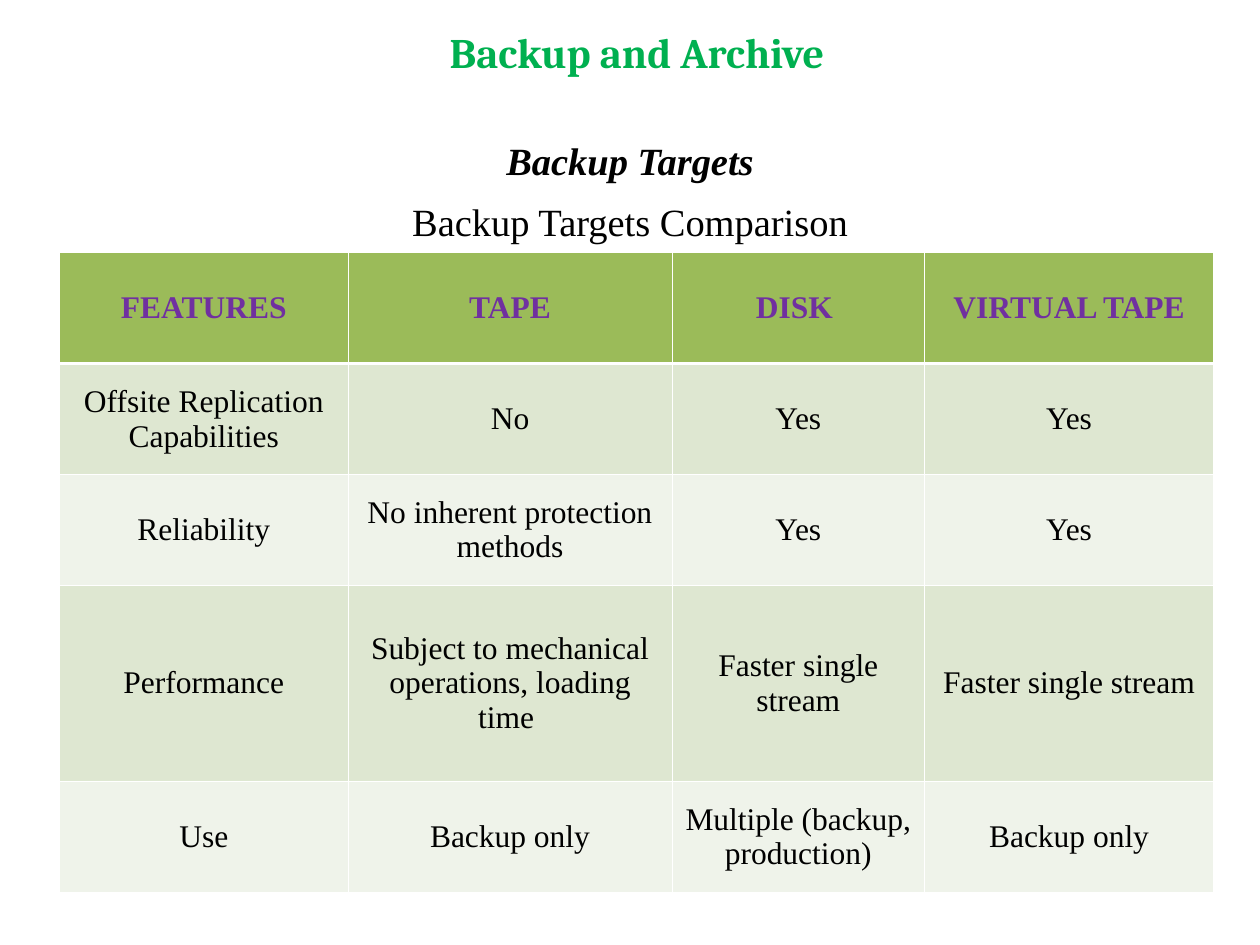
from lxml import etree
from pptx import Presentation
from pptx.dml.color import RGBColor
from pptx.enum.text import MSO_ANCHOR, MSO_AUTO_SIZE, PP_ALIGN
from pptx.oxml.ns import qn
from pptx.util import Pt

COLORS = {
    "title": "00B050",
    "text": "000000",
    "heading": "7030A0",
    "header": "9BBB59",
    "odd": "DEE7D1",
    "even": "EFF3EA",
    "border": "FFFFFF",
}
SERIF = "Times New Roman"
COLUMN_WIDTHS = [165, 185, 144.5, 165]
ROW_HEIGHTS = [63.4, 63.4, 63.4, 112, 63.4]
COMPARISON = [
    ["FEATURES", "TAPE", "DISK ", "VIRTUAL TAPE"],
    ["Offsite Replication Capabilities", "No", "Yes", "Yes"],
    ["Reliability", "No inherent protection methods", "Yes", "Yes"],
    ["Performance", "Subject to mechanical operations, loading time ",
     "Faster single stream", "Faster single stream"],
    ["Use", "Backup only", "Multiple (backup, production)", "Backup only"],
]


def style(paragraph, size, color, font=SERIF, bold=False, italic=False):
    paragraph.alignment = PP_ALIGN.CENTER
    for run in paragraph.runs:
        run.font.name = font
        run.font.size = Pt(size)
        run.font.bold = bold
        run.font.italic = italic
        run.font.color.rgb = RGBColor.from_string(COLORS[color])


def add_border(cell, side, width):
    line = etree.SubElement(cell._tc.get_or_add_tcPr(), qn(f"a:ln{side}"), w=str(Pt(width)))
    fill = etree.SubElement(line, qn("a:solidFill"))
    etree.SubElement(fill, qn("a:srgbClr"), val=COLORS["border"])


deck = Presentation()
deck.slide_width, deck.slide_height = Pt(720), Pt(540)
slide = deck.slides.add_slide(deck.slide_layouts[1])

title = slide.shapes.title
targets = slide.placeholders[1]
for holder, text, box in [
    (title, "Backup and Archive", (8, 2, 712, 55.5)),
    (targets, "Backup Targets\nBackup Targets Comparison", (36, 60, 648, 450)),
]:
    holder.left, holder.top, holder.width, holder.height = map(Pt, box)
    frame = holder.text_frame
    frame.text = text
    frame.auto_size = MSO_AUTO_SIZE.NONE
    frame.margin_left = frame.margin_top = frame.margin_right = frame.margin_bottom = 0

style(title.text_frame.paragraphs[0], 24, "title", "Cambria", bold=True)

subject, caption = targets.text_frame.paragraphs
for paragraph, spacing, before, strong in [(subject, 1.7, 0, True), (caption, 1.1, 5.5, False)]:
    properties = paragraph._p.get_or_add_pPr()
    properties.set("marL", "0")
    properties.set("indent", "0")
    etree.SubElement(properties, qn("a:buNone"))
    paragraph.line_spacing = spacing
    paragraph.space_before = Pt(before)
    style(paragraph, 22, "text", bold=strong, italic=strong)

table = slide.shapes.add_table(
    len(ROW_HEIGHTS), len(COLUMN_WIDTHS), Pt(34), Pt(144.3),
    Pt(sum(COLUMN_WIDTHS)), Pt(sum(ROW_HEIGHTS))).table
for column, width in zip(table.columns, COLUMN_WIDTHS):
    column.width = Pt(width)

for index, (row, height, entries) in enumerate(zip(table.rows, ROW_HEIGHTS, COMPARISON)):
    row.height = Pt(height)
    is_header = index == 0
    band = "header" if is_header else "odd" if index % 2 else "even"
    top = 1.47 if index == 1 else 0.45
    bottom = 1.47 if is_header else 0.45
    for cell, entry in zip(row.cells, entries):
        cell.text_frame.text = entry
        cell.vertical_anchor = MSO_ANCHOR.MIDDLE
        style(cell.text_frame.paragraphs[0], 18, "heading" if is_header else "text", bold=is_header)
        for side, width in [("L", 0.45), ("R", 0.45), ("T", top), ("B", bottom)]:
            add_border(cell, side, width)
        cell.fill.solid()
        cell.fill.fore_color.rgb = RGBColor.from_string(COLORS[band])

deck.save("out.pptx")
